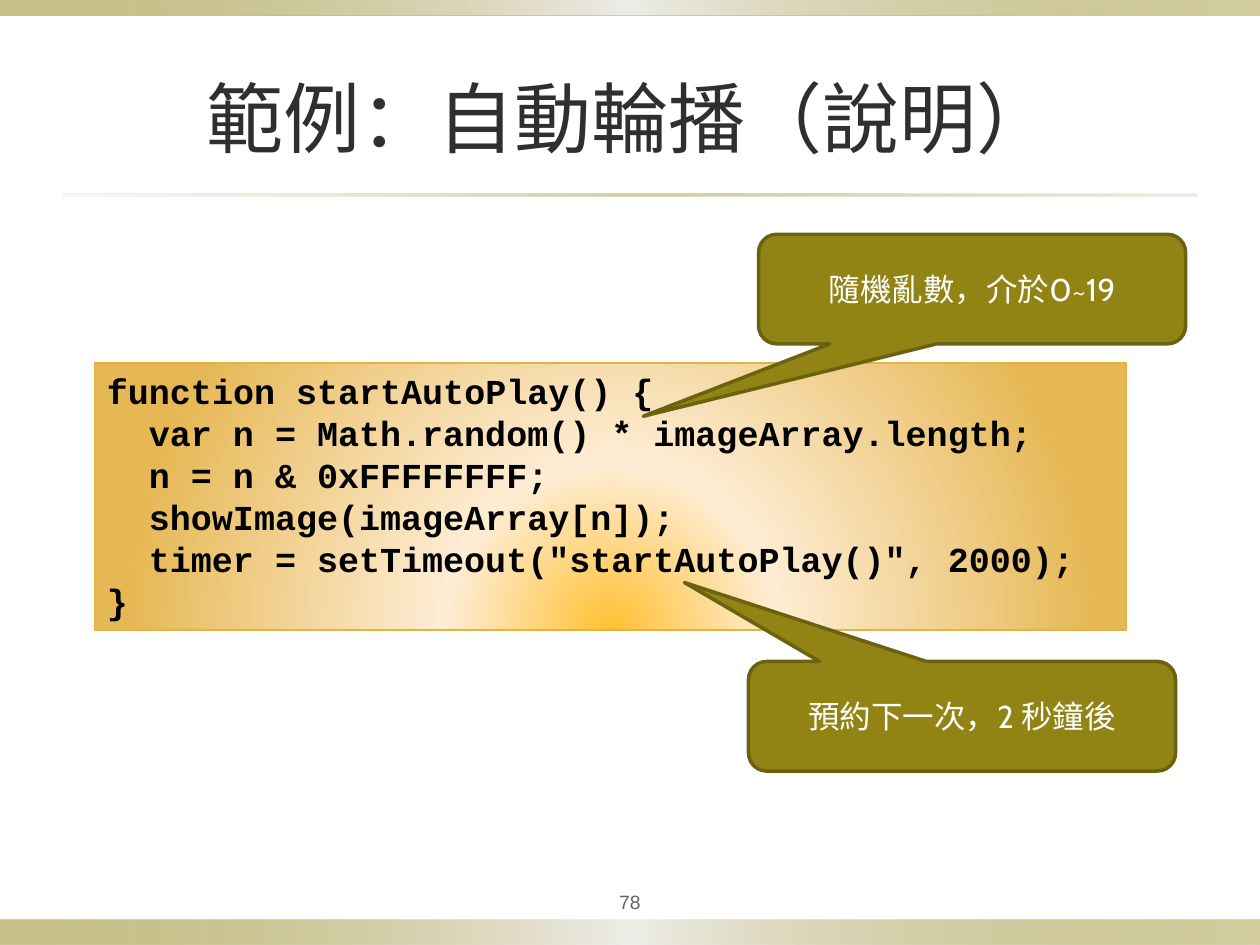
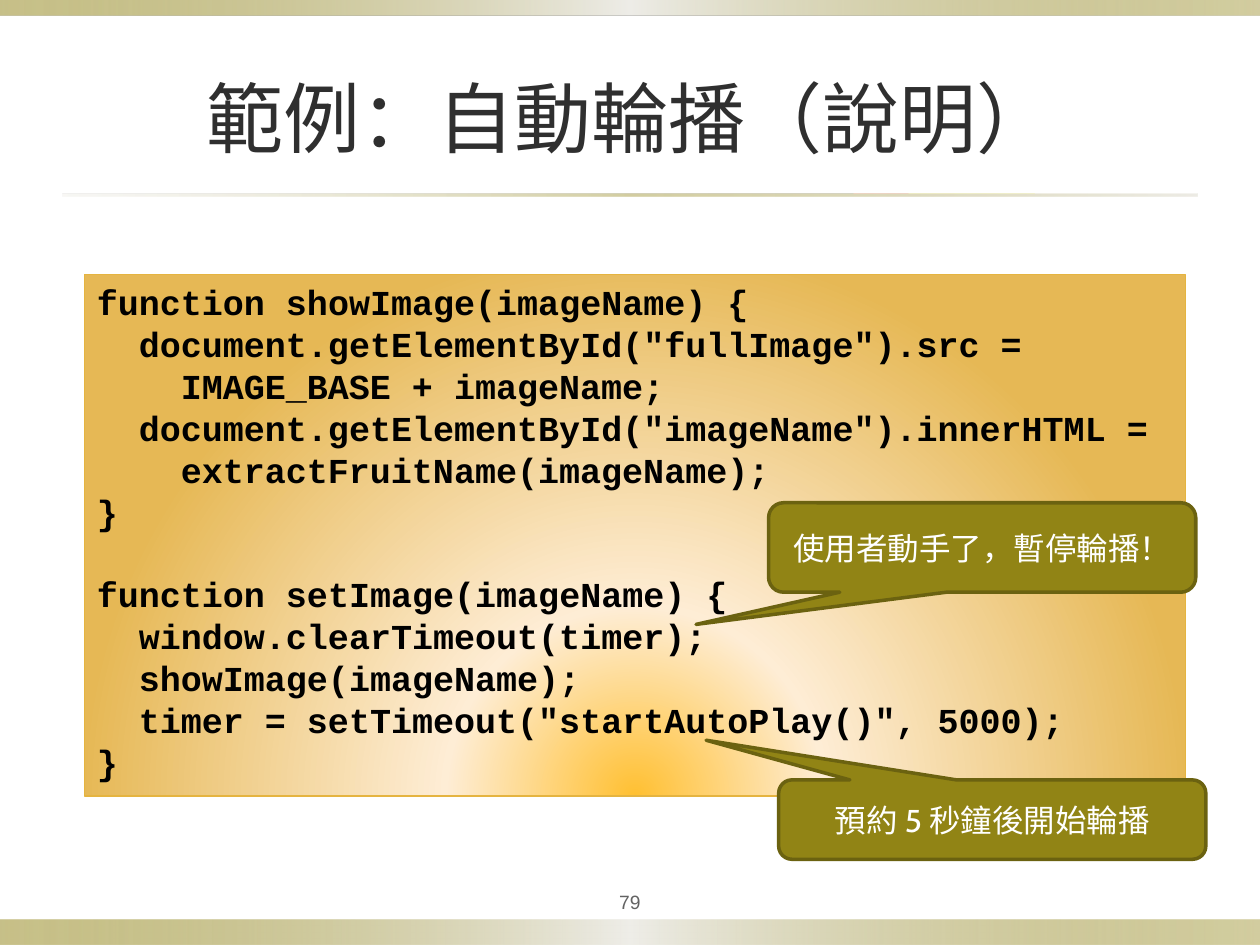
from pptx import Presentation
from pptx import oxml, util as u
from pptx.dml.color import RGBColor
from pptx.enum import shapes, text
from pptx.oxml import ns

SCALE = 9144
COLORS = {
    "olive": "918415", "olive_edge": "6B6210", "pale": "EEEDE8", "mist": "DCD9CC",
    "title": "2F2F2F", "number": "636363", "code": "000000", "white": "FFFFFF",
    "sun": "FFC032", "cream": "FEEDD5", "amber": "E6B855", "amber_edge": "E5B440",
}
BAND = [(0, "olive", 50), (50, "pale", 100), (100, "olive", 40)]
RULE = [(0, "mist", 20), (50, "olive", 40), (100, "mist", 50)]
GLOW = [(0, "sun", 100), (31, "cream", 100), (91, "amber", 100)]
LINEAR = '<a:lin ang="0" scaled="0"/>'
RADIAL = '<a:path path="circle"><a:fillToRect l="50000" t="150000" r="50000" b="0"/></a:path>'
TITLE = "範例：自動輪播（說明）"
INDENT = u.Pt(24)
LINE_GAP = u.Pt(22.66)


def px(*lengths):
    return [u.Emu(length * SCALE) for length in lengths]


class Slides:
    def __init__(self):
        self.deck = Presentation()
        self.deck.slide_width, self.deck.slide_height = px(1000, 750)
        self.page = None

    def new_page(self, number):
        self.page = self.deck.slides.add_slide(self.deck.slide_layouts[5])
        self.strip((0, 730, 1000, 20), BAND)
        self.strip((0, 0, 1000, 12), BAND)
        self.strip((50, 154, 900, 2), RULE)
        self.title(TITLE)
        self.page_number(number)

    def set_text(self, frame, lines, size, font, color, align, bold=False):
        frame.word_wrap = True
        frame.text = "\n".join(lines)
        for para in frame.paragraphs:
            para.alignment = align
            for span in para.runs:
                span.font.size = u.Pt(size)
                span.font.name = font
                span.font.bold = bold
                span.font.color.rgb = RGBColor.from_string(COLORS[color])

    def title(self, words):
        box = self.page.shapes.title
        box.left, box.top, box.width, box.height = px(50, 30, 900, 125)
        frame = box.text_frame
        frame.vertical_anchor = text.MSO_ANCHOR.MIDDLE
        self.set_text(frame, [words], 44, "Cabin", "title", text.PP_ALIGN.CENTER)

    def page_number(self, number):
        frame = self.page.shapes.add_textbox(*px(450, 700, 100, 31)).text_frame
        frame.margin_left, frame.margin_top, frame.margin_right, frame.margin_bottom = px(5, 5, 5, 5)
        frame.vertical_anchor = text.MSO_ANCHOR.MIDDLE
        self.set_text(frame, [str(number)], 11, "Arial", "number", text.PP_ALIGN.CENTER)

    def shape(self, kind, place, fill, edge=None, weight=1):
        shape = self.page.shapes.add_shape(kind, *px(*place))
        shape.shadow.inherit = False
        shape.fill.solid()
        shape.fill.fore_color.rgb = RGBColor.from_string(COLORS[fill])
        if edge:
            shape.line.color.rgb = RGBColor.from_string(COLORS[edge])
            shape.line.width = u.Pt(weight)
        else:
            shape.line.fill.background()
        return shape

    def gradient(self, shape, stops, direction):
        marks = "".join(
            f'<a:gs pos="{place * 1000}"><a:srgbClr val="{COLORS[color]}">'
            f'<a:alpha val="{opacity * 1000}"/></a:srgbClr></a:gs>'
            for place, color, opacity in stops)
        fill = oxml.parse_xml(
            f'<a:gradFill {ns.nsdecls("a")} rotWithShape="1">'
            f'<a:gsLst>{marks}</a:gsLst>{direction}</a:gradFill>')
        solid = shape._element.spPr.find(ns.qn("a:solidFill"))
        solid.getparent().replace(solid, fill)

    def strip(self, place, stops):
        shape = self.shape(shapes.MSO_SHAPE.RECTANGLE, place, "olive")
        self.gradient(shape, stops, LINEAR)

    def code(self, place, *functions):
        shape = self.shape(shapes.MSO_SHAPE.RECTANGLE, place, "amber", "amber_edge")
        self.gradient(shape, GLOW, RADIAL)
        frame = shape.text_frame
        frame.vertical_anchor = text.MSO_ANCHOR.TOP
        lines = [line for function in functions for line in function]
        self.set_text(frame, [words for level, words in lines], 20, "Courier New", "code",
                      text.PP_ALIGN.LEFT, bold=True)
        for para, (level, words) in zip(frame.paragraphs, lines):
            para._p.get_or_add_pPr().set("marL", str(level * INDENT))
        frame.auto_size = text.MSO_AUTO_SIZE.SHAPE_TO_FIT_TEXT
        start = 0
        for function in functions[:-1]:
            start += len(function)
            frame.paragraphs[start].space_before = LINE_GAP

    def callout(self, place, tip, words):
        shape = self.shape(shapes.MSO_SHAPE.ROUNDED_RECTANGULAR_CALLOUT, place,
                           "olive", "olive_edge", 2)
        shape.adjustments[0], shape.adjustments[1] = tip
        frame = shape.text_frame
        frame.vertical_anchor = text.MSO_ANCHOR.MIDDLE
        self.set_text(frame, [words], 18, "Cabin", "white", text.PP_ALIGN.CENTER)


def main():
    slides = Slides()

    slides.new_page(78)
    slides.code(
        (75, 288, 819, 212),
        [(0, "function startAutoPlay() {"),
         (1, "var n = Math.random() * imageArray.length;"),
         (1, "n = n & 0xFFFFFFFF;"),
         (1, "showImage(imageArray[n]);"),
         (1, 'timer = setTimeout("startAutoPlay()", 2000);'),
         (0, "}")])
    slides.callout((602, 186, 339, 87), (-0.77, 1.16), "隨機亂數，介於0~19")
    slides.callout((594, 525, 339, 87), (-0.65, -1.22), "預約下一次，2 秒鐘後")

    slides.new_page(79)
    slides.code(
        (67, 218, 874, 414),
        [(0, "function showImage(imageName) {"),
         (1, 'document.getElementById("fullImage").src ='),
         (2, "IMAGE_BASE + imageName;"),
         (1, 'document.getElementById("imageName").innerHTML ='),
         (2, "extractFruitName(imageName);"),
         (0, "}")],
        [(0, "function setImage(imageName) {"),
         (1, "window.clearTimeout(timer);"),
         (1, "showImage(imageName);"),
         (1, 'timer = setTimeout("startAutoPlay()", 5000);'),
         (0, "}")])
    slides.callout((610, 399, 339, 71), (-0.67, 0.86), "使用者動手了，暫停輪播！")
    slides.callout((618, 619, 339, 63), (-0.67, -1), "預約 5 秒鐘後開始輪播")

    slides.deck.save("out.pptx")


if __name__ == "__main__":
    main()
